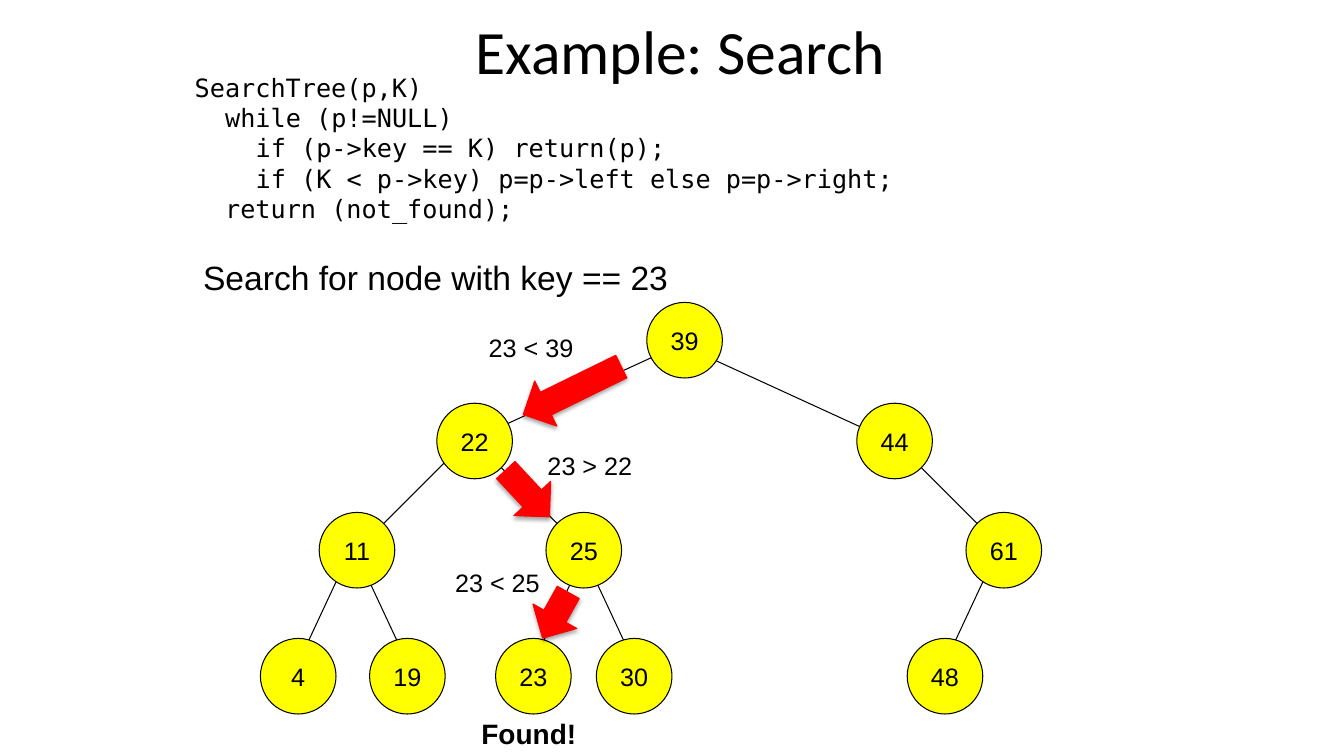
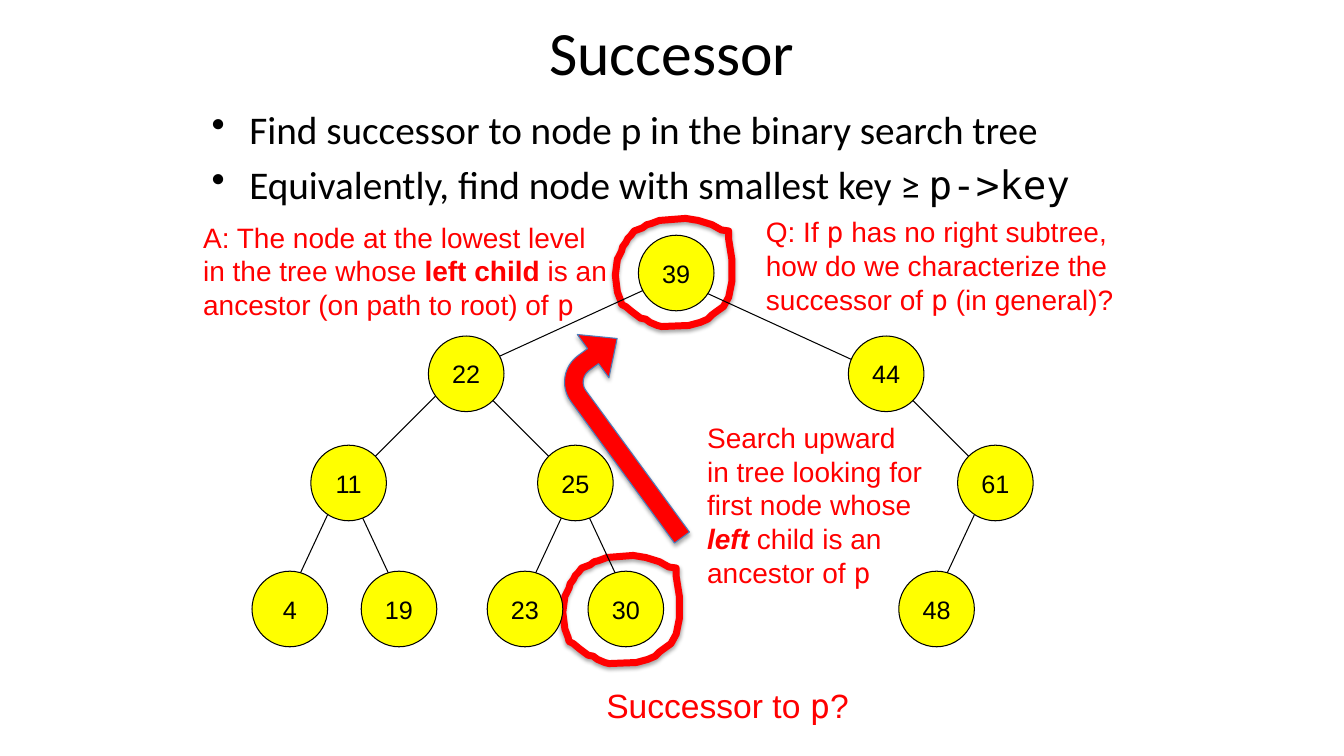
from lxml.etree import SubElement
from pptx import Presentation
from pptx.dml.color import RGBColor
from pptx.enum.shapes import MSO_CONNECTOR as Connector, MSO_SHAPE as Shape
from pptx.enum.text import MSO_ANCHOR as Anchor, PP_ALIGN as Align
from pptx.oxml.ns import qn
from pptx.util import Pt

PX = 9525  # 96 px to the inch
BLACK, RED, YELLOW, ARROW_EDGE = "000000", "FF0000", "FFFF00", "4B7EBC"
SANS, TITLE_FONT, MONO = "Arial", "Calibri", "DejaVu Sans Mono"
color = RGBColor.from_string

# Tree geometry, measured from the tree's upper left corner
NODE_SIZE = 72
NODES = {
    39: (368, 0), 22: (168, 96), 44: (568, 96),
    11: (56, 200), 25: (272, 200), 61: (672, 200),
    4: (0, 320), 19: (104, 320), 23: (224, 320), 30: (320, 320), 48: (616, 320),
}
EDGES = [
    (400, 40, 208, 128), (400, 40, 592, 128),
    (200, 128, 96, 232), (200, 128, 304, 232), (600, 128, 704, 232),
    (88, 232, 32, 352), (88, 232, 144, 352),
    (312, 232, 256, 352), (304, 232, 360, 352), (704, 232, 648, 352),
]
# Hand-drawn ring, measured from its upper left corner
RING = [
    (108, 12), (101, 11), (92, 6), (79, 2), (67, 0), (42, 2), (34, 5), (30, 6),
    (26, 9), (18, 12), (15, 16), (12, 19), (10, 23), (7, 27), (6, 31), (2, 39),
    (0, 54), (2, 70), (5, 78), (6, 82), (10, 84), (16, 89), (24, 95), (29, 96),
    (33, 99), (40, 102), (44, 103), (70, 102), (81, 99), (88, 96), (92, 92),
    (96, 89), (103, 84), (108, 75), (111, 60), (111, 39), (108, 20),
]


def write(shape, paragraphs, size, font=SANS, ink=BLACK, align=Align.LEFT,
          anchor=Anchor.TOP, wrap=True):
    """Fill a shape with paragraphs, each a list of (text, style) runs."""
    frame = shape.text_frame
    frame.word_wrap = wrap
    frame.vertical_anchor = anchor
    for index, runs in enumerate(paragraphs):
        paragraph = frame.paragraphs[0] if index == 0 else frame.add_paragraph()
        paragraph.alignment = align
        paragraph.font.size = Pt(size)
        paragraph.font.name = font
        paragraph.font.color.rgb = color(ink)
        for text, style in runs:
            run = paragraph.add_run()
            run.text = text
            if style == "mono":
                run.font.name = MONO
            elif style:
                run.font.bold = True
                run.font.italic = style == "bold italic"
    return frame


def paint(shape, fill, line, width=0.75, shadow=True):
    if fill:
        shape.fill.solid()
        shape.fill.fore_color.rgb = color(fill)
    else:
        shape.fill.background()
    shape.line.color.rgb = color(line)
    shape.line.width = Pt(width)
    shape.shadow.inherit = False
    if shadow:
        effects = shape._element.spPr.find(qn("a:effectLst"))
        outer = SubElement(effects, qn("a:outerShdw"), blurRad=str(Pt(3.1)),
                           dist=str(Pt(1.8)), dir="5400000", rotWithShape="0")
        black = SubElement(outer, qn("a:srgbClr"), val=BLACK)
        SubElement(black, qn("a:alpha"), val="35000")


presentation = Presentation()
presentation.slide_width = 1280 * PX
presentation.slide_height = 720 * PX
blank = presentation.slide_layouts[6]
search, successor = [presentation.slides.add_slide(blank) for _ in range(2)]

for slide, title, left, top, height in [
    (search, "Example: Search", 216, -13, 120),
    (successor, "Successor", 208, 16, 64),
]:
    box = slide.shapes.add_textbox(left * PX, top * PX, 864 * PX, height * PX)
    write(box, [[(title, "")]], 44, TITLE_FONT, align=Align.CENTER, anchor=Anchor.MIDDLE)

# Rings around 30 and its successor 39, behind the tree
for left, top in [(536, 529), (586, 208)]:
    builder = successor.shapes.build_freeform(*RING[0], scale=PX)
    builder.add_line_segments(RING[1:], close=True)
    paint(builder.convert_to_shape(left * PX, top * PX), None, RED, 5)

# The same tree on both slides
for slide, tree_left, tree_top in [(search, 248, 288), (successor, 240, 224)]:
    for x1, y1, x2, y2 in EDGES:
        edge = slide.shapes.add_connector(
            Connector.STRAIGHT, (tree_left + x1) * PX, (tree_top + y1) * PX,
            (tree_left + x2) * PX, (tree_top + y2) * PX)
        edge.line.color.rgb = color(BLACK)
        edge.line.width = Pt(0.75)
        SubElement(edge._element.spPr, qn("a:effectLst"))
    for key, (x, y) in NODES.items():
        node = slide.shapes.add_shape(
            Shape.OVAL, (tree_left + x) * PX, (tree_top + y) * PX,
            NODE_SIZE * PX, NODE_SIZE * PX)
        paint(node, YELLOW, BLACK, shadow=False)
        write(node, [[(str(key), "")]], 18, align=Align.CENTER,
              anchor=Anchor.MIDDLE, wrap=False)

# Search: code with its indent levels
code = [
    (0, "SearchTree(p,K)"),
    (1, "while (p!=NULL)"),
    (2, "if (p->key == K) return(p);"),
    (2, "if (K < p->key) p=p->left else p=p->right;"),
    (1, "return (not_found);"),
]
box = search.shapes.add_textbox(176 * PX, 64 * PX, 685 * PX, 184 * PX)
frame = write(box, [[(text, "")] for _, text in code], 18, MONO, wrap=False)
for paragraph, (level, _) in zip(frame.paragraphs, code):
    paragraph._p.get_or_add_pPr().set("marL", str(level * 29 * PX))

box = search.shapes.add_textbox(184 * PX, 240 * PX, 497 * PX, 48 * PX)
write(box, [[("Search for node with key == 23", "")]], 24)

# Search: one arrow and comparison for each step down
for left, top, width, angle, label, label_left, label_top in [
    (493, 348, 104, 153.9, "23 < 39", 456, 312),
    (472, 446, 61, 47, "23 > 22", 512, 424),
    (504, 562, 50, 119.2, "23 < 25", 424, 536),
]:
    arrow = search.shapes.add_shape(
        Shape.RIGHT_ARROW, left * PX, top * PX, width * PX, 48 * PX)
    arrow.rotation = angle
    paint(arrow, RED, RED)
    box = search.shapes.add_textbox(label_left * PX, label_top * PX, 101 * PX, 38 * PX)
    write(box, [[(label, "")]], 18, wrap=False)

box = search.shapes.add_textbox(449 * PX, 678 * PX, 110 * PX, 42 * PX)
write(box, [[("Found!", "bold")]], 20, wrap=False)

# Successor: bullets
box = successor.shapes.add_textbox(192 * PX, 96 * PX, 888 * PX, 120 * PX)
frame = write(box, [
    [("Find successor to node p in the binary search tree", "")],
    [("Equivalently, find node with smallest key ≥ ", ""), ("p->key", "mono")],
], 28, TITLE_FONT)
for paragraph in frame.paragraphs:
    paragraph.space_before = Pt(5.6)
    properties = paragraph._p.get_or_add_pPr()
    properties.set("marL", str(36 * PX))
    properties.set("indent", str(-36 * PX))
    bullet = properties.makeelement(qn("a:buChar"), {"char": "•"})
    properties.find(qn("a:defRPr")).addprevious(bullet)

# Successor: question, answer and hints
for left, top, width, height, size, runs in [
    (568, 648, 252, 48, 24,
     [("Successor to ", ""), ("p", "mono"), ("?", "")]),
    (184, 205, 408, 107, 20,
     [("A: The node at the lowest level in the tree whose ", ""),
      ("left child ", "bold"), ("is an ancestor (on path to root) of ", ""),
      ("p", "mono")]),
    (664, 396, 224, 171, 20,
     [("Search upward in tree looking for first node whose ", ""),
      ("left", "bold italic"), (" child is an ancestor of ", ""), ("p", "mono")]),
    (720, 200, 352, 107, 20,
     [("Q: If ", ""), ("p", "mono"),
      (" has no right subtree, how do we characterize the successor of ", ""),
      ("p", "mono"), (" (in general)?", "")]),
]:
    box = successor.shapes.add_textbox(left * PX, top * PX, width * PX, height * PX)
    write(box, [runs], size, ink=RED)

upward_arrow = successor.shapes.add_shape(
    Shape.BENT_ARROW, 572 * PX, 302 * PX, 71 * PX, 215 * PX)
upward_arrow.rotation = 323.8
for index, value in enumerate([0.25, 0.36, 0.4, 0.44]):
    upward_arrow.adjustments[index] = value
paint(upward_arrow, RED, ARROW_EDGE)

presentation.save("out.pptx")
